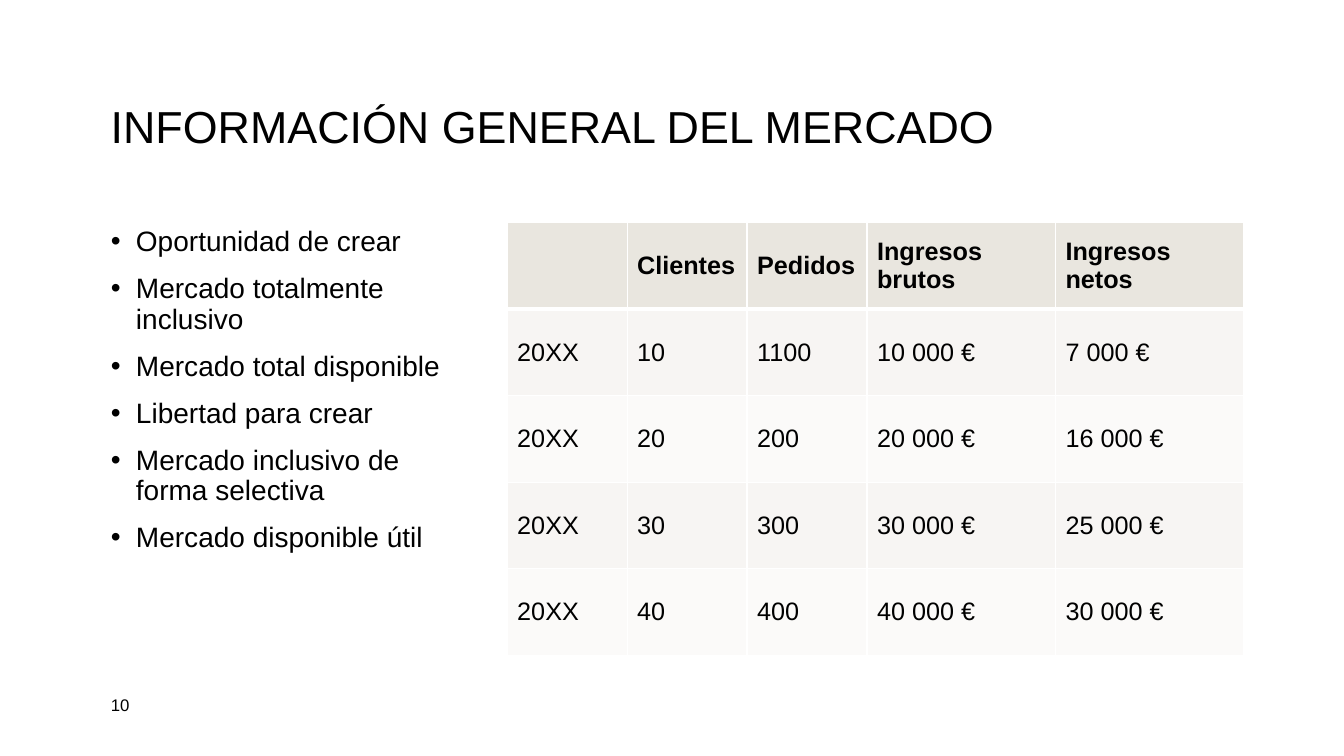
from lxml import etree
from pptx import Presentation
from pptx.dml.color import RGBColor
from pptx.enum.text import MSO_ANCHOR
from pptx.oxml.ns import qn
from pptx.util import Pt

MIDDLE = MSO_ANCHOR.MIDDLE
TOP = MSO_ANCHOR.TOP
EMU_PER_PX = 9144
FONT = "Arial"
BLACK = "000000"
WHITE = "FFFFFF"
HEADER_FILL = "E9E6DF"
BAND_FILLS = ("F7F5F3", "FBFAF9")

TITLE = "INFORMACIÓN GENERAL DEL MERCADO"
MARKET_POINTS = [
    "Oportunidad de crear",
    "Mercado totalmente inclusivo",
    "Mercado total disponible",
    "Libertad para crear",
    "Mercado inclusivo de forma selectiva",
    "Mercado disponible útil",
]
MARKET_ROWS = [
    ["", "Clientes", "Pedidos", "Ingresos brutos", "Ingresos netos"],
    ["20XX", "10", "1100", "10 000 €", "7 000 €"],
    ["20XX", "20", "200", "20 000 €", "16 000 €"],
    ["20XX", "30", "300", "30 000 €", "25 000 €"],
    ["20XX", "40", "400", "40 000 €", "30 000 €"],
]
COLUMN_WIDTHS = [119, 119, 119, 187, 187]


def px(length):
    return length * EMU_PER_PX


def color(value):
    return RGBColor.from_string(value)


def style_paragraph(paragraph, size, bold=False):
    for font in [paragraph.font] + [run.font for run in paragraph.runs]:
        font.name = FONT
        font.size = Pt(size)
        font.bold = bold
        font.color.rgb = color(BLACK)


def add_text(slide, box, text, size, anchor=MIDDLE):
    shape = slide.shapes.add_textbox(*map(px, box))
    text_frame = shape.text_frame
    text_frame.word_wrap = True
    text_frame.vertical_anchor = anchor
    text_frame.text = text
    for paragraph in text_frame.paragraphs:
        style_paragraph(paragraph, size)
    return text_frame


def add_title(slide, box):
    text_frame = add_text(slide, box, TITLE, 32)
    text_frame.paragraphs[0].line_spacing = 0.9


def add_market_points(slide, box):
    text_frame = add_text(slide, box, "\n".join(MARKET_POINTS), 20, TOP)
    for paragraph in text_frame.paragraphs:
        paragraph.line_spacing = 0.9
        paragraph.space_after = Pt(12)
        properties = paragraph._p.get_or_add_pPr()
        properties.set("marL", str(px(25)))
        properties.set("indent", str(px(-25)))
        bullet_font = etree.Element(qn("a:buFont"), typeface=FONT)
        bullet = etree.Element(qn("a:buChar"), char="•")
        default_run = properties.find(qn("a:defRPr"))
        default_run.addprevious(bullet_font)
        default_run.addprevious(bullet)


def set_borders(cell, widths):
    properties = cell._tc.get_or_add_tcPr()
    for side, width in widths.items():
        line = etree.SubElement(properties, qn(f"a:ln{side}"), w=str(Pt(width)))
        fill = etree.SubElement(line, qn("a:solidFill"))
        etree.SubElement(fill, qn("a:srgbClr"), val=WHITE)


def style_cell(cell, text, row_index):
    is_header = row_index == 0
    set_borders(cell, {
        "L": 1,
        "R": 1,
        "T": 3 if row_index == 1 else 1,
        "B": 3 if is_header else 1,
    })
    cell.fill.solid()
    fill = HEADER_FILL if is_header else BAND_FILLS[(row_index - 1) % 2]
    cell.fill.fore_color.rgb = color(fill)
    cell.vertical_anchor = MIDDLE
    cell.text = text
    style_paragraph(cell.text_frame.paragraphs[0], 18, is_header)


def add_market_table(slide, box):
    frame = slide.shapes.add_table(
        len(MARKET_ROWS), len(COLUMN_WIDTHS), *map(px, box))
    table = frame.table
    for column, width in zip(table.columns, COLUMN_WIDTHS):
        column.width = px(width)
    for row_index, values in enumerate(MARKET_ROWS):
        for column_index, text in enumerate(values):
            style_cell(table.cell(row_index, column_index), text, row_index)


def add_slide_number(slide, box):
    add_text(slide, box, "10", 12)


def build_market_slide(presentation):
    slide = presentation.slides.add_slide(presentation.slide_layouts[6])
    add_title(slide, (100, 40, 1133, 175))
    add_market_points(slide, (100, 221, 361, 428))
    add_market_table(slide, (503, 221, 730, 429))
    add_slide_number(slide, (100, 683, 69, 32))


def main():
    presentation = Presentation()
    presentation.slide_width = px(1333)
    presentation.slide_height = px(750)
    build_market_slide(presentation)
    presentation.save("out.pptx")


if __name__ == "__main__":
    main()
